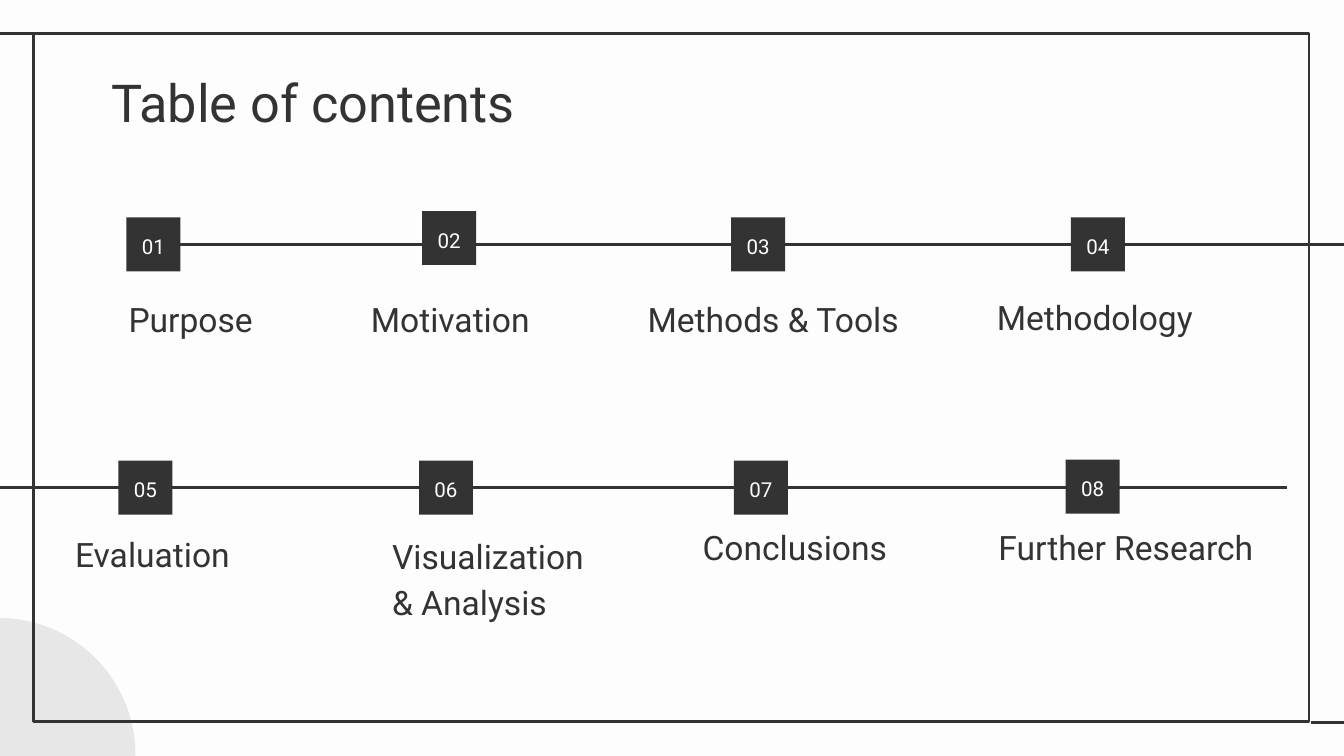
"""Build a table of contents slide with two numbered timelines."""
from lxml import etree
from pptx import Presentation
from pptx.dml.color import RGBColor
from pptx.enum.shapes import MSO_CONNECTOR, MSO_SHAPE
from pptx.enum.text import MSO_ANCHOR, PP_ALIGN
from pptx.oxml.ns import qn
from pptx.util import Cm, Pt

OVAL, RECTANGLE = MSO_SHAPE.OVAL, MSO_SHAPE.RECTANGLE
STRAIGHT = MSO_CONNECTOR.STRAIGHT
TOP, MIDDLE, BOTTOM = MSO_ANCHOR.TOP, MSO_ANCHOR.MIDDLE, MSO_ANCHOR.BOTTOM
LEFT, CENTER = PP_ALIGN.LEFT, PP_ALIGN.CENTER
DARK = RGBColor(0x33, 0x33, 0x33)
PAPER = RGBColor(0xFD, 0xFD, 0xFD)
PALE = RGBColor(0xE8, 0xE7, 0xE7)
TILE = 1.02
RULE_WIDTH = Pt(1.5)


def write(shape, text, size, color, anchor, align, spacing):
    frame = shape.text_frame
    frame.word_wrap = True
    frame.vertical_anchor = anchor
    frame.margin_left = frame.margin_right = Cm(0.25)
    frame.margin_top = frame.margin_bottom = Cm(0.25)
    frame.text = text
    paragraph = frame.paragraphs[0]
    paragraph.alignment = align
    paragraph.line_spacing = spacing
    paragraph.font.name = "Roboto"
    paragraph.font.size = Pt(size)
    paragraph.font.color.rgb = color


def add_rule(x1, x2, y):
    rule = slide.shapes.add_connector(STRAIGHT, Cm(x1), Cm(y), Cm(x2), Cm(y))
    rule.line.color.rgb = DARK
    rule.line.width = RULE_WIDTH
    etree.SubElement(rule._element.spPr, qn("a:effectLst"))
    return rule


prs = Presentation()
prs.slide_width, prs.slide_height = Cm(25.4), Cm(14.29)
slide = prs.slides.add_slide(prs.slide_layouts[5])
slide.background.fill.solid()
slide.background.fill.fore_color.rgb = PAPER

corner = slide.shapes.add_shape(OVAL, Cm(-2.62), Cm(11.68), Cm(5.18), Cm(5.18))
corner.shadow.inherit = False
corner.fill.solid()
corner.fill.fore_color.rgb = PALE
corner.line.fill.background()

border = slide.shapes.add_shape(RECTANGLE, Cm(0.64), Cm(0.64), Cm(24.1), Cm(13))
border.shadow.inherit = False
border.fill.background()
border.line.color.rgb = DARK
border.line.width = RULE_WIDTH

add_rule(0.66, -0.05, 0.64)
add_rule(25.48, 24.77, 13.66)
add_rule(24.33, -0.64, 9.22)
upper_timeline = add_rule(3.41, 25.65, 4.62)

title = slide.shapes.title
title.left, title.top, title.width, title.height = Cm(1.85), Cm(1.07), Cm(21.41), Cm(1.6)
write(title, "Table of contents", 28, DARK, TOP, LEFT, 1)

sections = [
    ("Purpose", 2.39, 4.11, 2.18, 5.59, 6.4, 1.07),
    ("Motivation", 7.98, 3.99, 6.76, 5.59, 6.4, 1.07),
    ("Methods & Tools", 13.82, 4.11, 11.99, 5.59, 6.4, 1.07),
    ("Methodology", 20.24, 4.11, 18.59, 5.56, 6.4, 1.07),
    ("Evaluation", 2.24, 8.71, 1.17, 10.03, 6.4, 1.07),
    ("Visualization & Analysis", 7.92, 8.71, 7.16, 9.93, 4.47, 2.08),
    ("Conclusions", 13.87, 8.71, 13.03, 9.91, 6.4, 1.07),
    ("Further Research", 20.14, 8.69, 18.62, 9.91, 6.4, 1.07),
]
number_tiles = []
for number, (name, tile_x, tile_y, x, y, width, height) in enumerate(sections, 1):
    tile = slide.shapes.add_shape(RECTANGLE, Cm(tile_x), Cm(tile_y), Cm(TILE), Cm(TILE))
    tile.shadow.inherit = False
    tile.fill.solid()
    tile.fill.fore_color.rgb = DARK
    tile.line.fill.background()
    write(tile, f"{number:02}", 11, PAPER, MIDDLE, CENTER, 1.15)
    number_tiles.append(tile)

    label = slide.shapes.add_textbox(Cm(x), Cm(y), Cm(width), Cm(height))
    write(label, name, 18, DARK, BOTTOM, LEFT, 1.15)

upper_timeline.begin_connect(number_tiles[0], 3)

prs.save("out.pptx")
